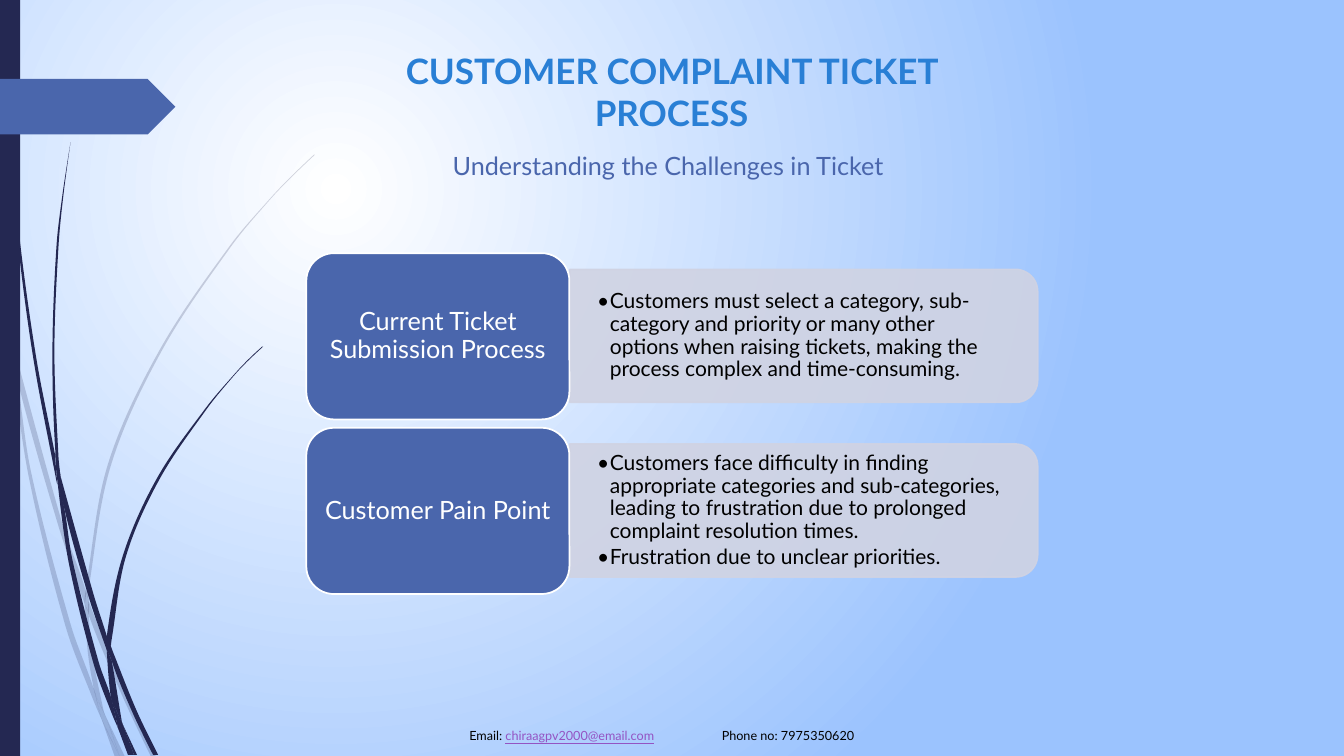
from math import hypot

from lxml import etree
from pptx import Presentation
from pptx.dml.color import RGBColor
from pptx.enum.shapes import MSO_SHAPE
from pptx.enum.text import MSO_ANCHOR, PP_ALIGN
from pptx.oxml.ns import qn
from pptx.util import Cm, Pt

RECT = MSO_SHAPE.RECTANGLE
ROUNDED = MSO_SHAPE.ROUNDED_RECTANGLE
ROUND_TOP = MSO_SHAPE.ROUND_2_SAME_RECTANGLE
PENTAGON = MSO_SHAPE.PENTAGON
TOP, MIDDLE = MSO_ANCHOR.TOP, MSO_ANCHOR.MIDDLE
LEFT, CENTER = PP_ALIGN.LEFT, PP_ALIGN.CENTER

WHITE = RGBColor(0xFF, 0xFF, 0xFF)
BLACK = RGBColor(0, 0, 0)
SKY = RGBColor(0x9B, 0xC3, 0xFE)
NAVY = RGBColor(0x24, 0x28, 0x52)
INDIGO = RGBColor(0x4A, 0x66, 0xAC)
BLUE = RGBColor(0x29, 0x7F, 0xD5)
PURPLE = RGBColor(0x94, 0x54, 0xC3)
LAVENDER = RGBColor(0xD0, 0xD3, 0xE3)
FONT = "Lato"

# Blades of grass: corners of closed outlines on a fine grid
GRID = 0.0254  # cm
FAINT_BLADES = [
    [(11, 350), (9, 322), (0, 282), (0, 299), (10, 344)],
    [(58, 522), (84, 599), (85, 586), (62, 520), (14, 345), (17, 376)],
    [(92, 607), (88, 596), (88, 610), (123, 694), (150, 751), (155, 751),
     (127, 692)],
    [(119, 751), (124, 751), (105, 711)],
    [(93, 683), (70, 619), (31, 469), (17, 376), (11, 350), (28, 470),
     (65, 621), (92, 693), (101, 714), (99, 707)],
    [(84, 599), (87, 646), (93, 683), (96, 692), (105, 711), (103, 706),
     (91, 646), (88, 610), (88, 608)],
    [(88, 584), (110, 462), (160, 349), (229, 245), (268, 198), (290, 175),
     (312, 154), (312, 153), (289, 175), (268, 197), (228, 244), (158, 348),
     (107, 461), (85, 584), (85, 586), (88, 596)],
    [(101, 714), (114, 751), (119, 751)],
    [(88, 608), (88, 610), (88, 596), (85, 586), (84, 599)],
    [(96, 692), (93, 683), (99, 707), (101, 714), (119, 751), (105, 711)],
]
DARK_BLADES = [
    [(7, 110), (17, 233), (33, 355), (56, 477), (57, 481), (55, 457),
     (55, 453), (36, 355), (19, 232), (8, 109), (5, 48), (4, 0), (3, 0),
     (4, 48)],
    [(88, 592), (106, 645), (106, 633), (106, 631), (93, 590), (60, 472),
     (64, 505)],
    [(113, 649), (110, 641), (111, 656), (132, 708), (152, 749), (157, 749),
     (136, 706)],
    [(110, 691), (98, 657), (72, 556), (64, 505), (57, 477), (68, 557),
     (93, 659), (111, 708), (117, 722), (116, 717)],
    [(60, 472), (58, 453), (54, 349), (58, 245), (63, 193), (70, 141),
     (62, 193), (56, 245), (52, 349), (55, 449)],
    [(133, 749), (136, 749), (122, 719)],
    [(57, 477), (64, 505), (60, 472), (55, 449), (55, 453)],
    [(111, 633), (125, 552), (158, 476), (205, 406), (231, 374), (245, 359),
     (261, 344), (260, 344), (245, 358), (231, 373), (204, 405), (156, 474),
     (122, 551), (106, 631), (110, 641)],
    [(117, 722), (127, 749), (131, 749)],
    [(106, 645), (110, 691), (116, 706), (122, 719), (121, 716), (111, 656),
     (109, 651)],
    [(106, 645), (109, 651), (111, 656), (110, 641), (106, 631), (106, 633)],
    [(116, 706), (110, 691), (116, 717), (117, 722), (130, 749), (133, 749),
     (122, 719)],
]

ROWS = [
    ("Current Ticket Submission Process",
     ["Customers must select a category, sub-category and priority or many "
      "other options when raising tickets, making the process complex and "
      "time-consuming."]),
    ("Customer Pain Point",
     ["Customers face difficulty in finding appropriate categories and "
      "sub-categories, leading to frustration due to prolonged complaint "
      "resolution times.",
      "Frustration due to unclear priorities."]),
]
ROW_STEP = 4.4


def paint(sp, fill, line=None, alpha=100):
    sp.shadow.inherit = False
    sp.fill.solid()
    sp.fill.fore_color.rgb = fill
    if line is None:
        sp.line.fill.background()
    else:
        sp.line.color.rgb = line
        sp.line.width = Pt(1.25)
    if alpha < 100:
        for clr in sp._element.spPr.iter(qn("a:srgbClr")):
            etree.SubElement(clr, qn("a:alpha"), val=str(alpha * 1000))


def add_box(s, kind, x, y, w, h, fill, line=None, alpha=100):
    sp = s.shapes.add_shape(kind, Cm(x), Cm(y), Cm(w), Cm(h))
    paint(sp, fill, line, alpha)
    return sp


def set_frame(tf, inset_x, inset_y, anchor, wrap=True):
    frame = {"margin_left": Cm(inset_x), "margin_right": Cm(inset_x),
             "margin_top": Cm(inset_y), "margin_bottom": Cm(inset_y),
             "vertical_anchor": anchor, "word_wrap": wrap}
    for name, value in frame.items():
        setattr(tf, name, value)


def add_run(p, text, size, color, **styles):
    r = p.add_run()
    r.text = text
    r.font.color.rgb = color
    for name, value in {"name": FONT, "size": Pt(size), **styles}.items():
        setattr(r.font, name, value)


def add_text(s, x, y, w, h, inset=(0.25, 0.13), anchor=TOP, wrap=True):
    tf = s.shapes.add_textbox(Cm(x), Cm(y), Cm(w), Cm(h)).text_frame
    set_frame(tf, *inset, anchor, wrap)
    return tf


def tangent(a, b, c):
    """Unit direction at b, or zero where the outline turns sharply."""
    u, v = (b[0] - a[0], b[1] - a[1]), (c[0] - b[0], c[1] - b[1])
    if u[0] * v[0] + u[1] * v[1] < 0.7 * hypot(*u) * hypot(*v):
        return 0, 0
    size = hypot(c[0] - a[0], c[1] - a[1])
    return (c[0] - a[0]) / size, (c[1] - a[1]) / size


def add_blade(s, corners, alpha=100):
    points = [(Cm(x * GRID), Cm(y * GRID)) for x, y in corners]
    fb = s.shapes.build_freeform(*points[0])
    fb.add_line_segments(points[1:] + points[:1], close=True)
    sp = fb.convert_to_shape()
    paint(sp, NAVY, alpha=alpha)
    # Bend each straight side into a curve
    pts = [(x - sp.left, y - sp.top) for x, y in points]
    n = len(pts)
    dirs = [tangent(pts[i - 1], pts[i], pts[(i + 1) % n]) for i in range(n)]
    for i, side in enumerate(list(sp._element.iter(qn("a:lnTo")))):
        j = (i + 1) % n
        (x0, y0), (x1, y1) = pts[i], pts[j]
        k = hypot(x1 - x0, y1 - y0) / 3
        curve = etree.Element(qn("a:cubicBezTo"))
        for x, y in ((x0 + k * dirs[i][0], y0 + k * dirs[i][1]),
                     (x1 - k * dirs[j][0], y1 - k * dirs[j][1]), (x1, y1)):
            etree.SubElement(curve, qn("a:pt"), x=str(round(x)), y=str(round(y)))
        side.getparent().replace(side, curve)


def set_background(s):
    fill = s.background.fill
    fill.gradient()
    for stop, color in zip(fill.gradient_stops, (WHITE, SKY)):
        stop.color.rgb = color
    grad = s._element.find(".//" + qn("a:gradFill"))
    for lin in grad.findall(qn("a:lin")):
        grad.remove(lin)
    circle = etree.SubElement(grad, qn("a:path"), {"path": "circle"})
    etree.SubElement(circle, qn("a:fillToRect"),
                     l="50000", t="50000", r="100000", b="100000")


def add_row(s, y, label, points):
    bar = add_box(s, ROUND_TOP, 18.58, y - 3.81, 3.35, 11.79,
                  LAVENDER, LAVENDER, alpha=90)
    bar.rotation = 90
    tf = add_text(s, 14.36, y + 0.58, 11.63, 3.02, (0.69, 0.36), MIDDLE)
    for i, point in enumerate(points):
        p = tf.add_paragraph() if i else tf.paragraphs[0]
        p.level, p.line_spacing, p.space_after = 1, 0.9, Pt(2.4)
        pPr = p._p.get_or_add_pPr()
        pPr.set("marL", str(Cm(0.32)))
        pPr.set("indent", str(Cm(-0.32)))
        etree.SubElement(pPr, qn("a:buFont"), typeface=FONT)
        etree.SubElement(pPr, qn("a:buChar"), char="•")
        add_run(p, point, 15, BLACK)
    block = add_box(s, ROUNDED, 7.72, y, 6.63, 4.19, INDIGO, WHITE)
    set_frame(block.text_frame, 0.18, 0.1, MIDDLE)
    p = block.text_frame.paragraphs[0]
    p.alignment, p.line_spacing = CENTER, 0.9
    add_run(p, label, 18, WHITE)


def add_footer(s):
    p = add_text(s, 11.83, 18.01, 12, 1.04, (0, 0.13), MIDDLE).paragraphs[0]
    p.alignment = LEFT
    tabs = etree.SubElement(p._p.get_or_add_pPr(), qn("a:tabLst"))
    etree.SubElement(tabs, qn("a:tab"), pos=str(Cm(6.36)), algn="l")
    add_run(p, "Email: ", 9, BLACK)
    add_run(p, "chiraagpv2000@email.com", 9, PURPLE, underline=True)
    add_run(p, "\tPhone no: 7975350620", 9, BLACK)


def main():
    prs = Presentation()
    prs.slide_width, prs.slide_height = Cm(33.87), Cm(19.05)
    s = prs.slides.add_slide(prs.slide_layouts[6])
    set_background(s)
    # Decoration on the left
    for blades, alpha in ((FAINT_BLADES, 20), (DARK_BLADES, 100)):
        for corners in blades:
            add_blade(s, corners, alpha)
    add_box(s, RECT, 0, 0, 0.51, 19.05, NAVY)
    add_box(s, PENTAGON, 0, 1.99, 4.42, 1.4, INDIGO)
    # Headings
    title = add_text(s, 8.2, 1.12, 17.45, 2.4).paragraphs[0]
    add_run(title, "CUSTOMER COMPLAINT TICKET PROCESS", 25, BLUE, bold=True)
    subtitle = add_text(s, 11.06, 3.66, 11.56, 1.02, wrap=False).paragraphs[0]
    add_run(subtitle, "Understanding the Challenges in Ticket", 18, INDIGO)
    title.alignment = subtitle.alignment = CENTER
    # Process rows
    for i, (label, points) in enumerate(ROWS):
        add_row(s, 6.38 + i * ROW_STEP, label, points)
    add_footer(s)
    prs.save("out.pptx")


if __name__ == "__main__":
    main()
